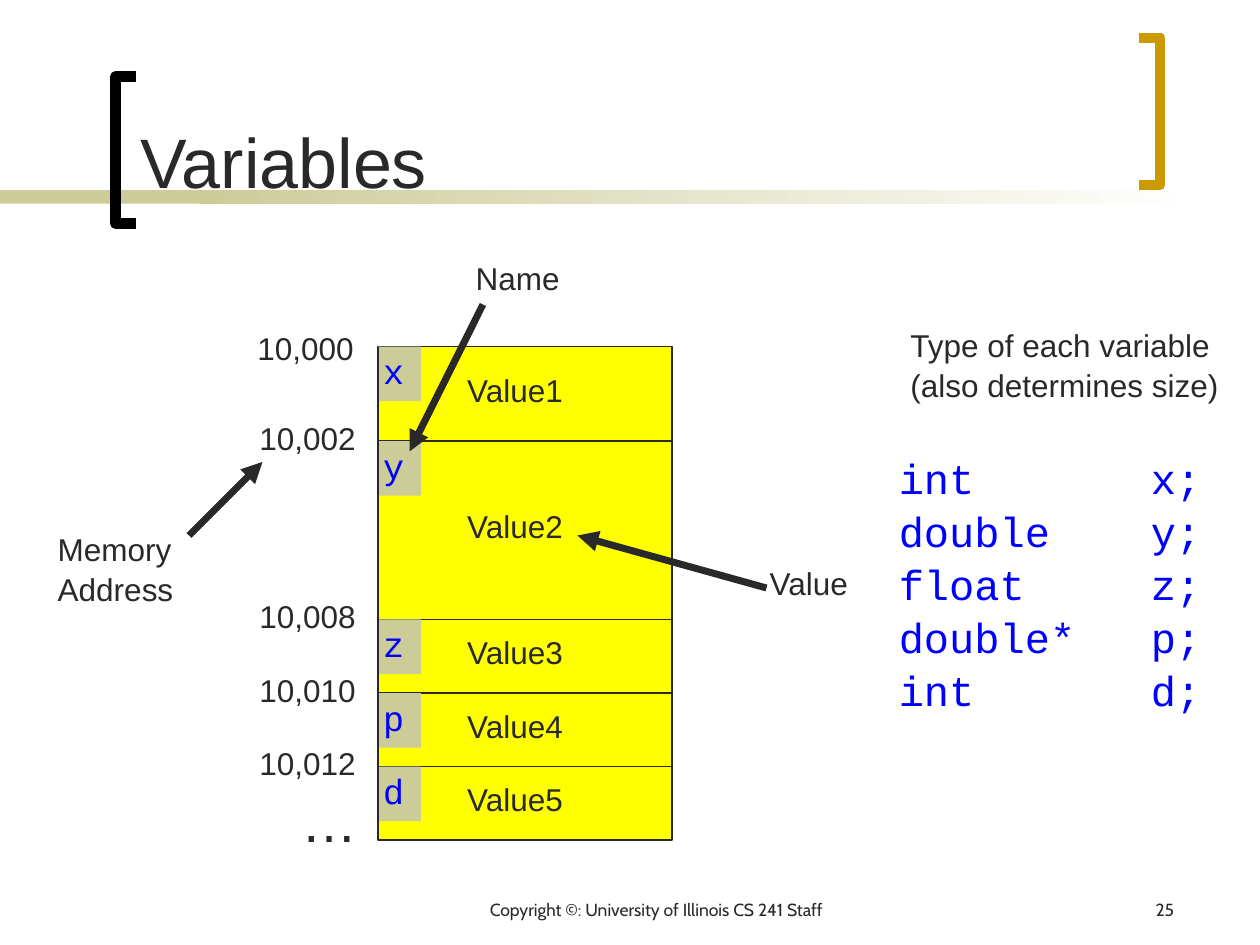
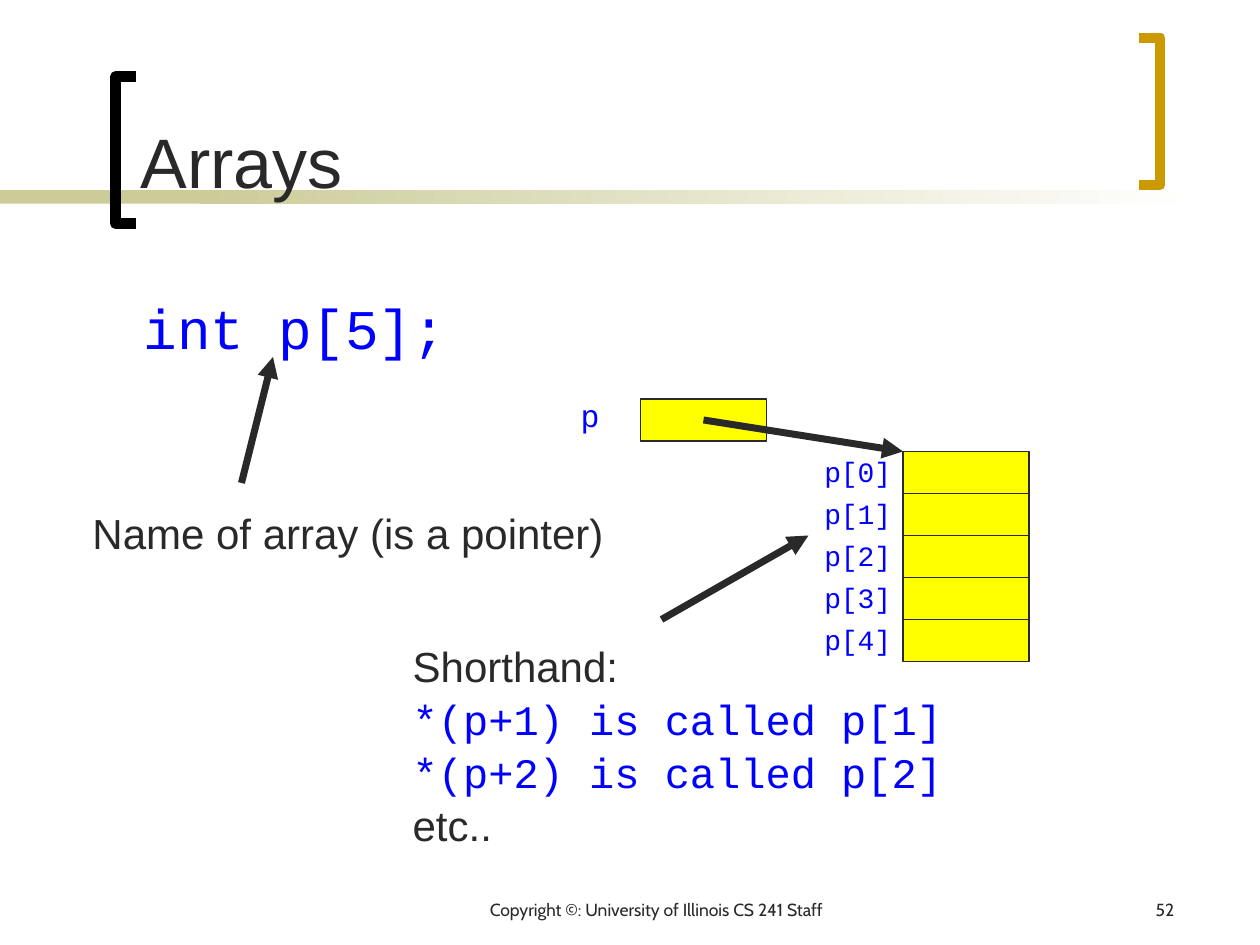
from lxml import etree
from pptx import Presentation
from pptx.dml.color import RGBColor
from pptx.enum.shapes import MSO_CONNECTOR as CONN, MSO_SHAPE as SHAPE
from pptx.enum.text import MSO_ANCHOR as ANCHOR, PP_ALIGN as ALIGN
from pptx.oxml.ns import qn
from pptx.util import Pt

PX = 7620  # 120 px to the inch
rgb = RGBColor.from_string

INK, BLUE, YELLOW, SAND = "292929", "0000FF", "FFFF00", "CCCC99"
BLACK, GOLD, WHITE = "000000", "CC9900", "FFFFFF"
PROSE, CODE, FOOTER = ("Arial", INK), ("Courier New", BLUE), ("Cabin", INK)
LABEL_INSETS, FOOTER_INSETS, TITLE_INSETS = (5, 3, 0, 0), (12, 6, 12, 6), (12, 6, 17, 6)


def box(s, x, y, w, h, lines=(), size=18, style=PROSE, fill=None, edge=None,
        insets=LABEL_INSETS, align=ALIGN.LEFT, anchor=ANCHOR.TOP):
    """Add a filled rectangle or, without a fill, a text box.

    Each line is a string in the given style or a (string, style) pair.
    """
    place = [v * PX for v in (x, y, w, h)]
    if fill:
        sp = s.shapes.add_shape(SHAPE.RECTANGLE, *place)
        sp.shadow.inherit = False
        sp.fill.solid()
        sp.fill.fore_color.rgb = rgb(fill)
        if edge:
            sp.line.color.rgb = rgb(edge)
            sp.line.width = Pt(0.75)
        else:
            sp.line.fill.background()
    else:
        sp = s.shapes.add_textbox(*place)
    tf = sp.text_frame
    tf.word_wrap = True
    tf.vertical_anchor = anchor
    tf.margin_left, tf.margin_top, tf.margin_right, tf.margin_bottom = [v * PX for v in insets]
    for i, item in enumerate(lines):
        text, (font, color) = (item, style) if isinstance(item, str) else item
        p = tf.paragraphs[0] if i == 0 else tf.add_paragraph()
        p.alignment = align
        if len(lines) > 1:
            p.line_spacing = 1.05
        r = p.add_run()
        r.text = text
        r.font.name = font
        r.font.size = Pt(size)
        r.font.color.rgb = rgb(color)
    return sp


def line(s, x1, y1, x2, y2, arrow=False):
    cx = s.shapes.add_connector(CONN.STRAIGHT, x1 * PX, y1 * PX, x2 * PX, y2 * PX)
    cx.line.color.rgb = rgb(INK)
    cx.line.width = Pt(4 if arrow else 0.75)
    if arrow:
        etree.SubElement(cx.line._get_or_add_ln(), qn("a:tailEnd"), type="triangle")
    etree.SubElement(cx._element.spPr, qn("a:effectLst"))


prs = Presentation()
prs.slide_width, prs.slide_height = 1200 * PX, 900 * PX

# Frame shared by both slides
slides = []
for title, number in (("Variables", "25"), ("Arrays", "52")):
    s = prs.slides.add_slide(prs.slide_layouts[6])
    slides.append(s)
    box(s, 0, 181, 280, 13, fill=SAND)
    band = box(s, 190, 181, 950, 13, fill=SAND)
    band.fill.gradient()
    band.fill.gradient_angle = 0
    for stop, color in zip(band.fill.gradient_stops, (SAND, WHITE)):
        stop.color.rgb = rgb(color)
        stop.position = 0 if color == SAND else 1
    for tip, spine, top, color in ((130, 110, 73, BLACK), (1085, 1105, 36, GOLD)):
        fb = s.shapes.build_freeform(tip, top, scale=PX)
        fb.add_line_segments([(spine, top), (spine, top + 140), (tip, top + 140)], close=False)
        sp = fb.convert_to_shape()
        sp.shadow.inherit = False
        sp.fill.background()
        sp.line.color.rgb = rgb(color)
        sp.line.width = Pt(6)
    box(s, 122, 13, 940, 186, [title], 40, insets=TITLE_INSETS, anchor=ANCHOR.BOTTOM)
    box(s, 370, 850, 510, 30, ["Copyright ©: University of Illinois CS 241 Staff"], 10, FOOTER,
        insets=FOOTER_INSETS, align=ALIGN.CENTER)
    box(s, 880, 850, 250, 30, [number], 10, FOOTER, insets=FOOTER_INSETS, align=ALIGN.RIGHT)

variables, arrays = slides

# Variables: memory block with one row per variable
s = variables
mem_x, mem_w, mem_top, mem_bottom = 360, 280, 330, 800
box(s, mem_x, mem_top, mem_w, mem_bottom - mem_top, fill=YELLOW, edge=INK)
memory_rows = [  # name, row top, value top, address, address left, address top
    ("x", 330, 350, "10,000", 240, 310),
    ("y", 420, 480, "10,002", 242, 396),
    ("z", 590, 600, "10,008", 242, 566),
    ("p", 660, 670, "10,010", 242, 636),
    ("d", 730, 740, "10,012", 242, 706),
]
for i, (name, top, value_top, address, address_x, address_top) in enumerate(memory_rows, 1):
    if top > mem_top:
        line(s, mem_x, top, mem_x + mem_w, top)
    box(s, mem_x, top, 41, 52, [name], 20, CODE, fill=SAND)
    box(s, 440, value_top, 112, 47, [f"Value{i}"])
    box(s, address_x, address_top, 112, 47, [address])
box(s, 282, 746, 73, 73, ["…"], 32)
line(s, mem_x, mem_top, mem_x, mem_bottom)

for label, arrow in (
    ((50, 500, 131, 82, ["Memory", "Address"]), (180, 510, 250, 440)),
    ((448, 244, 101, 47, ["Name"]), (460, 290, 390, 430)),
    ((728, 534, 95, 47, ["Value"]), (730, 560, 550, 510)),
):
    line(s, *arrow, arrow=True)
    box(s, *label)

box(s, 862, 306, 313, 82, ["Type of each variable", "(also determines size)"])
declarations = ["int\tx;", "double\ty;", "float\tz;", "double*\tp;", "int\td;"]
sp = box(s, 851, 426, 322, 239, declarations, 24, CODE)
for p in sp.text_frame.paragraphs:
    tabs = etree.SubElement(p._p.get_or_add_pPr(), qn("a:tabLst"))
    etree.SubElement(tabs, qn("a:tab"), pos=str(240 * PX), algn="l")

# Arrays: a pointer cell and the five elements it leads to
s = arrays
box(s, 125, 274, 1005, 80, ["int p[5];"], 32, CODE, insets=TITLE_INSETS)
cell_w, cell_h, array_x, array_top = 120, 40, 860, 430
for i in range(5):
    top = array_top + i * cell_h
    box(s, array_x, top, cell_w, cell_h, fill=YELLOW, edge=INK)
    box(s, 780, top, 80, cell_h, [f"p[{i}]"], 16, CODE)
box(s, 548, 374, 38, 47, ["p"], 18, CODE)
box(s, 610, 380, cell_w, cell_h, fill=YELLOW, edge=INK)
box(s, 83, 480, 508, 59, ["Name of array (is a pointer)"], 24)
box(s, 388, 605, 524, 194,
    ["Shorthand:", ("*(p+1) is called p[1]", CODE), ("*(p+2) is called p[2]", CODE), "etc.."], 24)
for arrow in ((230, 460, 260, 340), (670, 400, array_x, array_top), (630, 590, 770, 510)):
    line(s, *arrow, arrow=True)

prs.save("out.pptx")
